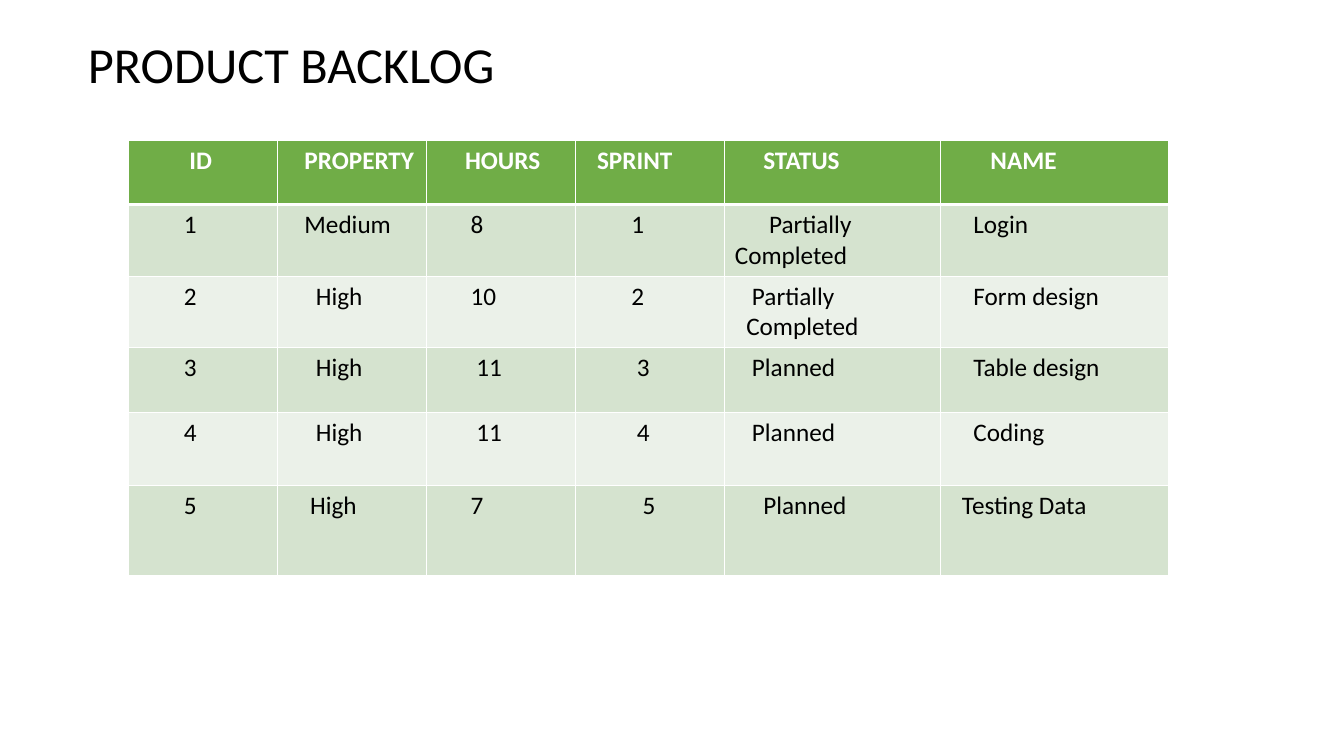
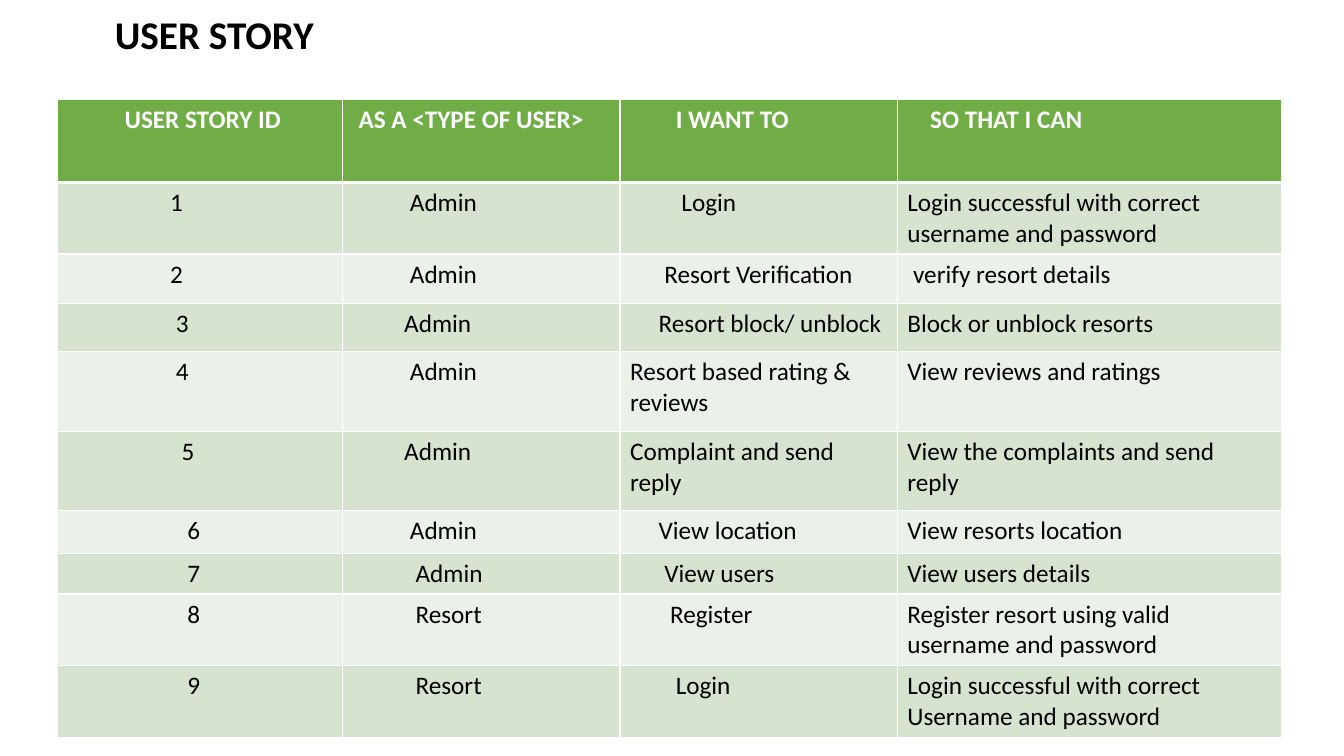
from dataclasses import dataclass

from lxml import etree
from pptx import Presentation
from pptx.dml.color import RGBColor
from pptx.enum.text import MSO_ANCHOR, MSO_AUTO_SIZE, PP_ALIGN
from pptx.oxml.ns import qn
from pptx.util import Inches, Pt

LEFT = PP_ALIGN.LEFT
MIDDLE = MSO_ANCHOR.MIDDLE
NO_FIT = MSO_AUTO_SIZE.NONE
TITLE_ONLY = 5


@dataclass(frozen=True)
class Theme:
    """Colours, type sizes and line widths shared by the slides."""

    font: str = "Calibri"
    ink: str = "000000"
    paper: str = "FFFFFF"
    header: str = "70AD47"
    bands: tuple = ("D5E3CF", "EBF1E9")
    title_size: int = 36
    small_title_size: int = 28
    cell_size: int = 18
    title_spacing: float = 0.9
    thin: int = 1
    thick: int = 3
    indent_step: float = 4.07


@dataclass(frozen=True)
class Column:
    """A table column: width in percent, texts with heading first, indent steps."""

    width: float
    texts: tuple
    indents: tuple


class DeckBuilder:
    """Draws titles and tables, with lengths in percent of the slide."""

    def __init__(self, theme):
        """Start an empty widescreen deck."""
        self.theme = theme
        self.deck = Presentation()
        self.deck.slide_width = Inches(13.33)
        self.deck.slide_height = Inches(7.5)
        self.page = None

    def across(self, percent):
        """Return a share of the slide width."""
        return round(self.deck.slide_width * percent / 100)

    def down(self, percent):
        """Return a share of the slide height."""
        return round(self.deck.slide_height * percent / 100)

    def style(self, para, size, color, bold):
        """Format every run of a paragraph."""
        para.alignment = LEFT
        for span in para.runs:
            span.font.name = self.theme.font
            span.font.size = Pt(size)
            span.font.bold = bold
            span.font.color.rgb = RGBColor.from_string(color)

    def add_page(self, title, left, width, height, size, bold=False):
        """Add a slide with its title at the top edge."""
        self.page = self.deck.slides.add_slide(self.deck.slide_layouts[TITLE_ONLY])
        box = self.page.shapes.title
        box.left, box.top = self.across(left), 0
        box.width, box.height = self.across(width), self.down(height)
        frame = box.text_frame
        frame.text = title
        frame.auto_size = NO_FIT
        frame.vertical_anchor = MIDDLE
        para = frame.paragraphs[0]
        para.line_spacing = self.theme.title_spacing
        self.style(para, size, self.theme.ink, bold)

    def add_border(self, cell, side, width):
        """Draw one edge of a cell."""
        properties = cell._tc.get_or_add_tcPr()
        line = etree.SubElement(properties, qn(f"a:{side}"), w=str(Pt(width)))
        fill = etree.SubElement(line, qn("a:solidFill"))
        etree.SubElement(fill, qn("a:srgbClr"), val=self.theme.paper)

    def fill_cell(self, cell, row, text, indents):
        """Write and format one cell according to its row."""
        theme = self.theme
        heading = row == 0
        for side in ("lnL", "lnR", "lnT", "lnB"):
            under_header = (row, side) in ((0, "lnB"), (1, "lnT"))
            self.add_border(cell, side, theme.thick if under_header else theme.thin)
        cell.fill.solid()
        color = theme.header if heading else theme.bands[(row - 1) % 2]
        cell.fill.fore_color.rgb = RGBColor.from_string(color)
        cell.text_frame.text = text
        steps = indents if isinstance(indents, tuple) else (indents,)
        for para, step in zip(cell.text_frame.paragraphs, steps):
            self.style(para, theme.cell_size, theme.paper if heading else theme.ink, heading)
            properties = para._p.get_or_add_pPr()
            properties.set("marL", "0")
            properties.set("indent", str(Pt(step * theme.indent_step)))

    def add_table(self, left, top, columns, heights):
        """Add a banded table described column by column."""
        width = sum(column.width for column in columns)
        table = self.page.shapes.add_table(
            len(heights), len(columns), self.across(left), self.down(top),
            self.across(width), self.down(sum(heights))).table
        for row, height in enumerate(heights):
            table.rows[row].height = self.down(height)
        for index, column in enumerate(columns):
            table.columns[index].width = self.across(column.width)
            for row, (text, indents) in enumerate(zip(column.texts, column.indents)):
                self.fill_cell(table.cell(row, index), row, text, indents)


BACKLOG = (
    Column(11.1, ("ID", "1", "2", "3", "4", "5"), (9, 8, 8, 8, 8, 8)),
    Column(11.1, ("PROPERTY", "Medium", "High", "High", "High", "High"),
           (3, 3, 5, 5, 5, 4)),
    Column(11.1, ("HOURS", "8", "10", "11", "11", "7"), (5, 6, 6, 7, 7, 6)),
    Column(11.1, ("SPRINT", "1", "2", "3", "4", "5"), (2, 8, 8, 9, 9, 10)),
    Column(16.05, ("STATUS", "Partially Completed", "Partially\nCompleted",
                   "Planned", "Planned", "Planned"), (5, 6, (3, 2), 3, 3, 5)),
    Column(16.95, ("NAME", "Login", "Form design", "Table design", "Coding",
                   "Testing Data"), (7, 4, 4, 4, 4, 2)),
)
BACKLOG_HEIGHTS = (8.53, 8.8, 9.33, 8.53, 9.73, 11.87)

STORIES = (
    Column(21.23, ("USER STORY ID", "1", "2", "3", "4", "5", "6", "7", "8", "9"),
           (10, 18, 18, 19, 19, 20, 21, 21, 21, 21)),
    Column(20.63, ("AS A <TYPE OF USER>",) + ("Admin",) * 7 + ("Resort",) * 2,
           (1, 10, 10, 9, 10, 9, 10, 11, 11, 11)),
    Column(20.63, ("I WANT TO", "Login", "Resort Verification",
                   "Resort block/ unblock", "Resort based rating & reviews",
                   "Complaint and send reply", "View location", "View users",
                   "Register", "Login"),
           (8, 9, 6, 5, 0, 0, 5, 6, 7, 8)),
    Column(28.58, ("SO THAT I CAN",
                   "Login successful with correct username and password",
                   "verify resort details", "Block or unblock resorts",
                   "View reviews and ratings", "View the complaints and send reply",
                   "View resorts location", "View users details",
                   "Register resort using valid username and password",
                   "Login successful with correct Username and password"),
           (4, 0, 1, 0, 0, 0, 0, 0, 0, 0)),
)
STORY_HEIGHTS = (10.93, 6.13, 6.53, 6.4, 10.53, 10.53, 5.6, 5.2, 7.07, 8.53)


def main():
    """Build and save the deck."""
    theme = Theme()
    builder = DeckBuilder(theme)
    builder.add_page("PRODUCT BACKLOG", 5.78, 86.27, 17.73, theme.title_size)
    builder.add_table(9.53, 18.53, BACKLOG, BACKLOG_HEIGHTS)
    builder.add_page("USER STORY", 7.8, 91, 9.6, theme.small_title_size, bold=True)
    builder.add_table(4.28, 13.2, STORIES, STORY_HEIGHTS)
    builder.deck.save("out.pptx")


if __name__ == "__main__":
    main()
